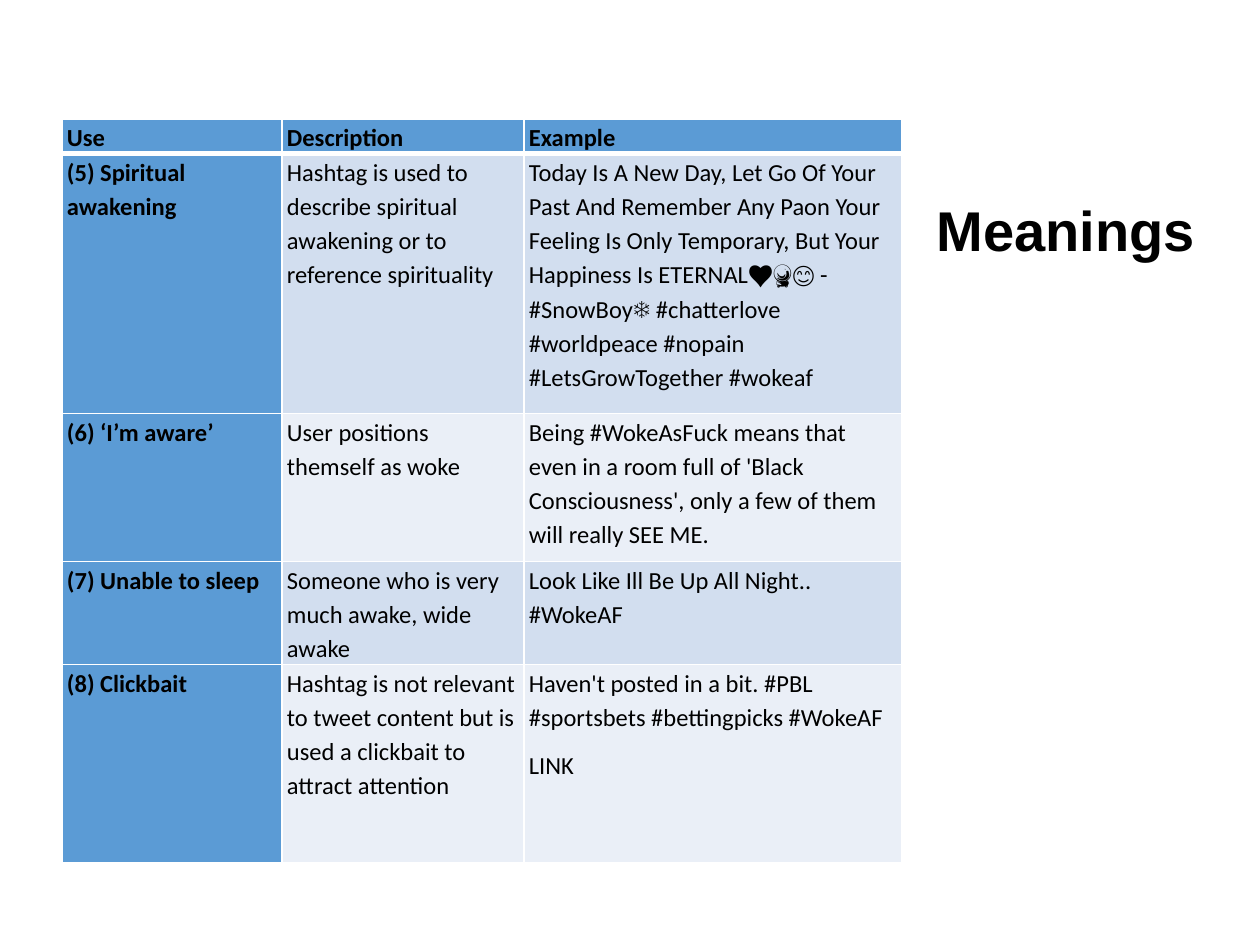
"""Build the slide that tabulates hashtag meanings with examples."""
from dataclasses import dataclass

from lxml import etree
from pptx import Presentation
from pptx.dml.color import RGBColor
from pptx.enum.text import MSO_ANCHOR, MSO_AUTO_SIZE, PP_ALIGN
from pptx.oxml.ns import qn
from pptx.slide import Slide
from pptx.table import _Cell
from pptx.util import Emu, Pt

ANCHOR_BOTTOM = MSO_ANCHOR.BOTTOM
NO_AUTOFIT = MSO_AUTO_SIZE.NONE
ALIGN_LEFT = PP_ALIGN.LEFT
ALIGN_JUSTIFY = PP_ALIGN.JUSTIFY
PX_PER_INCH = 126
TITLE_ONLY = 5


@dataclass(frozen=True)
class Theme:
    accent: str = "5B9BD5"
    bands: tuple[str, str] = ("D2DEEF", "EAEFF7")
    border: str = "FFFFFF"
    text: str = "000000"
    title_font: str = "Arial"
    table_font: str = "Calibri"
    title_size: int = 32
    table_size: int = 14
    thin_border: int = 1
    header_border: int = 3


@dataclass(frozen=True)
class Box:
    left: int
    top: int
    width: int
    height: int


@dataclass(frozen=True)
class Meaning:
    use: str
    description: str
    example: str
    height: int


THEME = Theme()
TITLE_BOX = Box(924, 131, 296, 139)
TABLE_BOX = Box(62, 119, 840, 743)
COLUMN_WIDTHS = (220, 242, 378)
MEANINGS = (
    Meaning("Use", "Description", "Example", 34),
    Meaning(
        "(5) Spiritual awakening",
        "Hashtag is used to describe spiritual awakening or to reference spirituality",
        "Today Is A New Day, Let Go Of Your Past And Remember Any Paon Your Feeling "
        "Is Only Temporary, But Your Happiness Is ETERNAL♥️🔮😊 - #SnowBoy❄ "
        "#chatterlove #worldpeace #nopain #LetsGrowTogether #wokeaf",
        260,
    ),
    Meaning(
        "(6) ‘I’m aware’",
        "User positions themself as woke",
        "Being #WokeAsFuck means that even in a room full of 'Black Consciousness', "
        "only a few of them will really SEE ME.",
        148,
    ),
    Meaning(
        "(7) Unable to sleep",
        "Someone who is very much awake, wide awake",
        "Look Like Ill Be Up All Night.. #WokeAF",
        103,
    ),
    Meaning(
        "(8) Clickbait",
        "Hashtag is not relevant to tweet content but is used a clickbait to attract attention",
        "Haven't posted in a bit. #PBL #sportsbets #bettingpicks #WokeAF\nLINK",
        198,
    ),
)


def px(length: int) -> Emu:
    """Convert pixels to EMU."""
    return Emu(round(length * 914400 / PX_PER_INCH))


def add_title(slide: Slide, text: str, box: Box) -> None:
    """Place and format the title placeholder."""
    title = slide.shapes.title
    title.left, title.top = px(box.left), px(box.top)
    title.width, title.height = px(box.width), px(box.height)
    frame = title.text_frame
    frame.text = text
    frame.word_wrap = True
    frame.auto_size = NO_AUTOFIT
    frame.vertical_anchor = ANCHOR_BOTTOM
    paragraph = frame.paragraphs[0]
    paragraph.alignment = ALIGN_LEFT
    paragraph.line_spacing = 0.9
    font = paragraph.runs[0].font
    font.name, font.size, font.bold = THEME.title_font, Pt(THEME.title_size), True
    font.color.rgb = RGBColor.from_string(THEME.text)


def add_borders(cell: _Cell, top: int, bottom: int) -> None:
    """Draw the four cell borders, with the given top and bottom widths in points."""
    thin = THEME.thin_border
    properties = cell._tc.get_or_add_tcPr()
    for tag, width in (("lnL", thin), ("lnR", thin), ("lnT", top), ("lnB", bottom)):
        line = etree.SubElement(properties, qn(f"a:{tag}"), w=str(Pt(width)))
        fill = etree.SubElement(line, qn("a:solidFill"))
        etree.SubElement(fill, qn("a:srgbClr"), val=THEME.border)


def fill_cell(cell: _Cell, text: str, row: int, column: int) -> None:
    """Write one cell and style it by its place in the table."""
    is_heading = row == 0 or column == 0
    cell.margin_left = cell.margin_right = px(5)
    cell.margin_top = cell.margin_bottom = 0
    add_borders(
        cell,
        THEME.header_border if row == 1 else THEME.thin_border,
        THEME.header_border if row == 0 else THEME.thin_border,
    )
    cell.fill.solid()
    color = THEME.accent if is_heading else THEME.bands[(row - 1) % 2]
    cell.fill.fore_color.rgb = RGBColor.from_string(color)
    cell.text_frame.text = text
    for paragraph in cell.text_frame.paragraphs:
        paragraph.alignment = ALIGN_JUSTIFY if row == 0 else ALIGN_LEFT
        paragraph.line_spacing = 1.15
        paragraph.space_after = Pt(8)
        for run in paragraph.runs:
            run.font.name, run.font.size = THEME.table_font, Pt(THEME.table_size)
            run.font.bold = is_heading
            run.font.color.rgb = RGBColor.from_string(THEME.text)


def add_meanings_table(slide: Slide, meanings: tuple[Meaning, ...], box: Box) -> None:
    """Add the table of uses, descriptions and examples."""
    table = slide.shapes.add_table(
        len(meanings), len(COLUMN_WIDTHS),
        px(box.left), px(box.top), px(box.width), px(box.height),
    ).table
    table.horz_banding = False
    for column, width in zip(table.columns, COLUMN_WIDTHS):
        column.width = px(width)
    for row, meaning in enumerate(meanings):
        table.rows[row].height = px(meaning.height)
        texts = (meaning.use, meaning.description, meaning.example)
        for column, text in enumerate(texts):
            fill_cell(table.cell(row, column), text, row, column)


def main() -> None:
    """Build and save the presentation."""
    presentation = Presentation()
    presentation.slide_width, presentation.slide_height = px(1260), px(945)
    slide = presentation.slides.add_slide(presentation.slide_layouts[TITLE_ONLY])
    add_title(slide, "Meanings", TITLE_BOX)
    add_meanings_table(slide, MEANINGS, TABLE_BOX)
    presentation.save("out.pptx")


if __name__ == "__main__":
    main()
